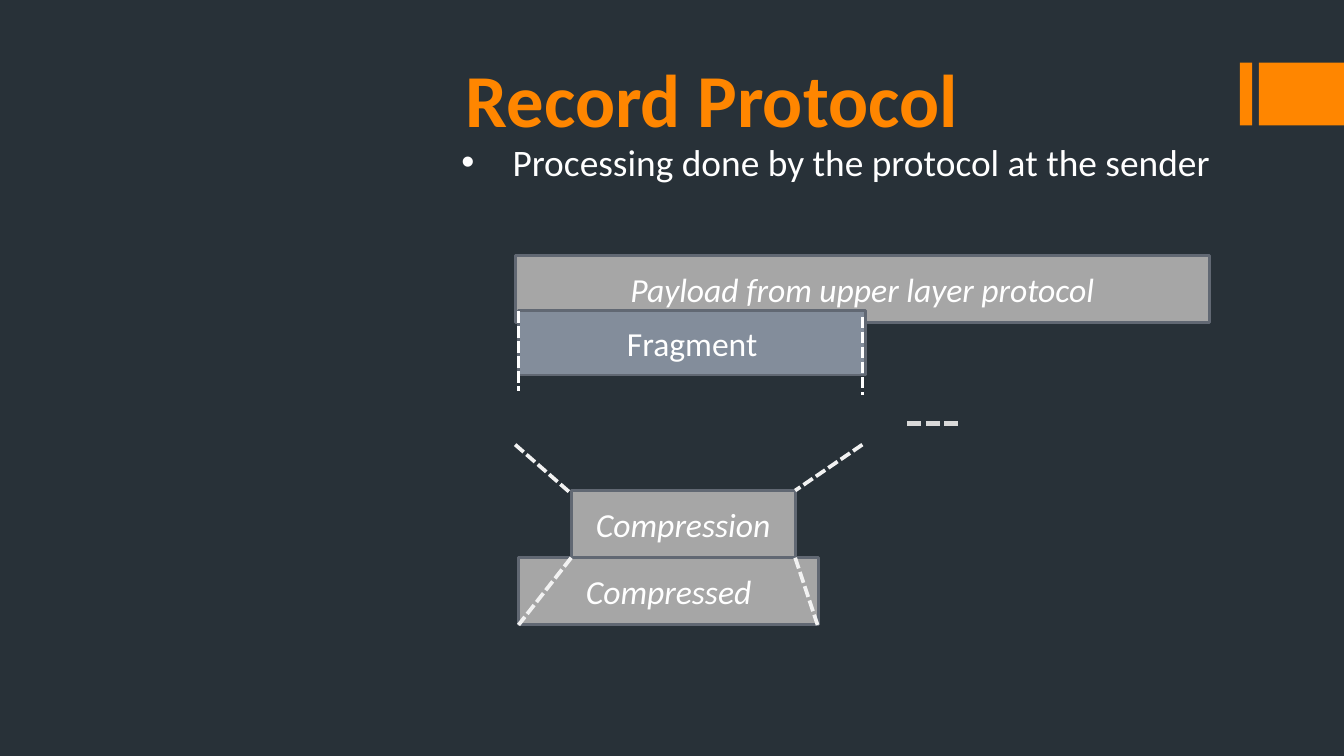
from lxml.etree import SubElement
from pptx import Presentation
from pptx.dml.color import RGBColor
from pptx.enum.dml import MSO_LINE
from pptx.enum.shapes import MSO_CONNECTOR, MSO_SHAPE
from pptx.enum.text import MSO_ANCHOR, MSO_AUTO_SIZE, PP_ALIGN
from pptx.oxml.ns import qn
from pptx.util import Inches, Pt

BACKGROUND = RGBColor(0x28, 0x31, 0x38)
ORANGE = RGBColor(0xFF, 0x86, 0x00)
WHITE = RGBColor(0xFF, 0xFF, 0xFF)
OFF_WHITE = RGBColor(0xF2, 0xF2, 0xF2)
LIGHT_GREY = RGBColor(0xD9, 0xD9, 0xD9)
GREY = RGBColor(0xA6, 0xA6, 0xA6)
SLATE = RGBColor(0x83, 0x8D, 0x9B)
OUTLINE = RGBColor(0x61, 0x68, 0x73)

COLUMNS, ROWS = 120, 67.5
deck = Presentation()
deck.slide_width = Inches(10)
deck.slide_height = Inches(5.625)
column = deck.slide_width / COLUMNS
row = deck.slide_height / ROWS


def grid(*cells):
    return [round(cell * (row if index % 2 else column)) for index, cell in enumerate(cells)]


def write(box, text, color, anchor, alignment, **formats):
    frame = box.text_frame
    frame.word_wrap = True
    frame.auto_size = MSO_AUTO_SIZE.NONE
    frame.vertical_anchor = anchor
    para = frame.paragraphs[0]
    para.alignment = alignment
    para.space_before = Pt(0)
    span = para.add_run()
    span.text = text
    span.font.color.rgb = color
    for name, value in {"name": "Calibri", **formats}.items():
        setattr(span.font, name, value)
    return para


page = deck.slides.add_slide(deck.slide_layouts[1])
page.background.fill.solid()
page.background.fill.fore_color.rgb = BACKGROUND

for left, width in [(110.7, 1.1), (112.4, 7.6)]:
    bar = page.shapes.add_shape(MSO_SHAPE.RECTANGLE, *grid(left, 5.6, width, 5.6))
    bar.shadow.inherit = False
    bar.fill.solid()
    bar.fill.fore_color.rgb = ORANGE
    bar.line.fill.background()

title, body = page.placeholders
for holder, cells in [(title, (40.4, 3.7, 79, 10)), (body, (40, 11.8, 77, 9.2))]:
    holder.left, holder.top, holder.width, holder.height = grid(*cells)
write(title, "Record Protocol", ORANGE, MSO_ANCHOR.MIDDLE, PP_ALIGN.LEFT, size=Pt(40), bold=True)
para = write(body, "Processing done by the protocol at the sender", WHITE,
             MSO_ANCHOR.TOP, PP_ALIGN.JUSTIFY, size=Pt(20))
properties = para._p.get_or_add_pPr()
properties.set("marL", str(Inches(0.38)))
properties.set("indent", str(-Inches(0.38)))
SubElement(properties, qn("a:buFont")).set("typeface", "Arial")
SubElement(properties, qn("a:buChar")).set("char", "•")

boxes = [
    ("Payload from upper layer protocol", (46, 22.8, 62, 6), GREY, True),
    ("Fragment", (46.3, 27.7, 31, 5.8), SLATE, False),
    ("Compression", (51, 43.8, 20, 6), GREY, True),
    ("Compressed", (46.3, 49.8, 26.8, 6), GREY, True),
]
for text, cells, color, italic in boxes:
    box = page.shapes.add_shape(MSO_SHAPE.RECTANGLE, *grid(*cells))
    box.shadow.inherit = False
    box.fill.solid()
    box.fill.fore_color.rgb = color
    box.line.color.rgb = OUTLINE
    box.line.width = Pt(1.5)
    write(box, text, WHITE, MSO_ANCHOR.MIDDLE, PP_ALIGN.CENTER, size=Pt(18), italic=italic)

dashes = [
    ((46.3, 27.8, 46.3, 34.9), WHITE, 2),
    ((77, 28.3, 77, 35.3), WHITE, 2),
    ((81, 37.8, 85.9, 37.8), LIGHT_GREY, 2.5),
    ((46, 39.7, 50.8, 43.9), OFF_WHITE, 2),
    ((77, 39.7, 71, 43.8), OFF_WHITE, 2),
    ((51, 49.8, 46.3, 55.8), OFF_WHITE, 2),
    ((71, 49.8, 73, 55.8), OFF_WHITE, 2),
]
for cells, color, width in dashes:
    dash = page.shapes.add_connector(MSO_CONNECTOR.STRAIGHT, *grid(*cells))
    dash.line.color.rgb = color
    dash.line.width = Pt(width)
    dash.line.dash_style = MSO_LINE.SQUARE_DOT
    SubElement(dash._element.spPr, qn("a:effectLst"))

deck.save("out.pptx")
